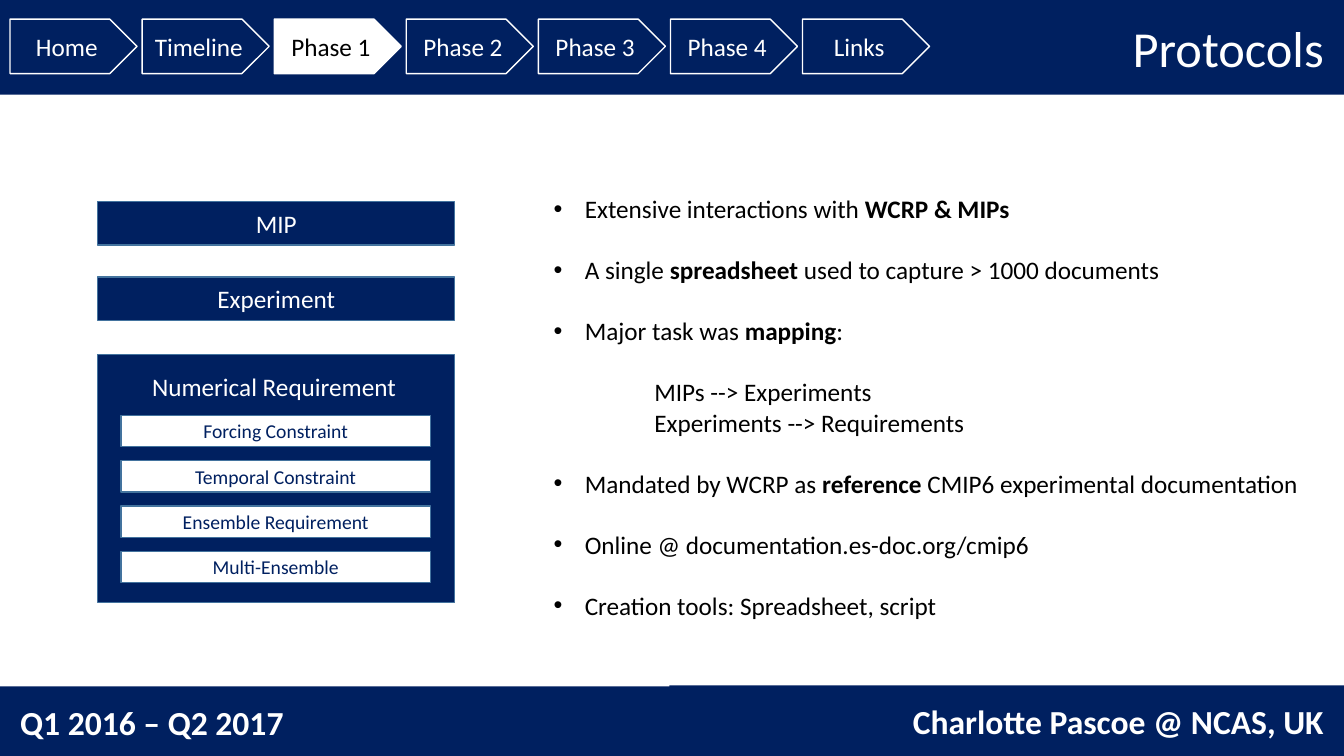
"""Build the Protocols slide with its phase navigation, document model and notes."""
from dataclasses import dataclass

from lxml import etree
from pptx import Presentation
from pptx.dml.color import RGBColor
from pptx.enum.shapes import MSO_SHAPE
from pptx.enum.text import MSO_ANCHOR, MSO_AUTO_SIZE, PP_ALIGN
from pptx.oxml.ns import qn
from pptx.util import Inches, Pt

RECTANGLE, ARROW = MSO_SHAPE.RECTANGLE, MSO_SHAPE.PENTAGON
LEFT, CENTER, RIGHT = PP_ALIGN.LEFT, PP_ALIGN.CENTER, PP_ALIGN.RIGHT
TOP, MIDDLE = MSO_ANCHOR.TOP, MSO_ANCHOR.MIDDLE
NO_FIT = MSO_AUTO_SIZE.NONE


@dataclass(frozen=True)
class Theme:
    font: str = "Calibri"
    navy: RGBColor = RGBColor(0x00, 0x20, 0x60)
    edge: RGBColor = RGBColor(0x43, 0x73, 0x9E)
    white: RGBColor = RGBColor(0xFF, 0xFF, 0xFF)
    black: RGBColor = RGBColor(0x00, 0x00, 0x00)
    title_size: int = 36
    footer_size: int = 24
    text_size: int = 18
    detail_size: int = 14


def assign(target, values):
    for attribute, value in values.items():
        setattr(target, attribute, value)


class SlideBuilder:
    def __init__(self, slide, theme):
        self.slide = slide
        self.theme = theme

    def place(self, shape, box):
        assign(shape, dict(zip(("left", "top", "width", "height"), map(Inches, box))))

    def add_text(self, paragraph, text, size, color, align=LEFT, bold=False):
        paragraph.alignment = align
        for index, piece in enumerate(text.split("**")):
            if piece:
                run = paragraph.add_run()
                run.text = piece
                assign(run.font, {"name": self.theme.font, "size": Pt(size),
                                  "bold": bold or index % 2 == 1})
                run.font.color.rgb = color

    def paint(self, shape, fill, line=None):
        shape.fill.solid()
        shape.fill.fore_color.rgb = fill
        if line is None:
            shape.line.fill.background()
        else:
            shape.line.color.rgb = line
            shape.line.width = Pt(1)

    def title(self, text, box):
        heading = self.slide.shapes.title
        self.place(heading, box)
        self.paint(heading, self.theme.navy)
        assign(heading.text_frame, {"vertical_anchor": MIDDLE, "auto_size": NO_FIT,
                                    "margin_right": Inches(0.2)})
        self.add_text(heading.text_frame.paragraphs[0], text,
                      self.theme.title_size, self.theme.white, RIGHT)

    def block(self, box, fill, line=None, text="", size=None, color=None,
              align=CENTER, bold=False, side_margin=0.1, kind=RECTANGLE):
        shape = self.slide.shapes.add_shape(kind, *map(Inches, box))
        shape.shadow.inherit = False
        self.paint(shape, fill, line)
        assign(shape.text_frame, {"vertical_anchor": MIDDLE, "word_wrap": True,
                                  "margin_left": Inches(side_margin),
                                  "margin_right": Inches(side_margin)})
        self.add_text(shape.text_frame.paragraphs[0], text,
                      size or self.theme.text_size, color or self.theme.white, align, bold)

    def label(self, text, box):
        caption = self.slide.shapes.add_textbox(*map(Inches, box))
        caption.text_frame.word_wrap = False
        self.add_text(caption.text_frame.paragraphs[0], text,
                      self.theme.text_size, self.theme.white)

    def bullets(self, items, box):
        body = self.slide.placeholders[1]
        self.place(body, box)
        frame = body.text_frame
        assign(frame, {"vertical_anchor": TOP, "auto_size": NO_FIT, "word_wrap": True})
        for index, (text, bulleted, gap) in enumerate(items):
            paragraph = frame.paragraphs[0] if index == 0 else frame.add_paragraph()
            assign(paragraph, {"space_before": Pt(gap), "space_after": Pt(0),
                               "line_spacing": 1.0})
            self.add_text(paragraph, text, self.theme.text_size, self.theme.black)
            properties = paragraph._p.get_or_add_pPr()
            properties.set("marL", str(Inches(0.31 if bulleted else 1)))
            properties.set("indent", str(Inches(-0.31 if bulleted else 0)))
            if bulleted:
                etree.SubElement(properties, qn("a:buFont")).set("typeface", "Arial")
                etree.SubElement(properties, qn("a:buChar")).set("char", "•")
            else:
                etree.SubElement(properties, qn("a:buNone"))


def main():
    theme = Theme()
    deck = Presentation()
    deck.slide_width, deck.slide_height = Inches(13.33), Inches(7.5)
    builder = SlideBuilder(deck.slides.add_slide(deck.slide_layouts[1]), theme)

    builder.title("Protocols", (0, 0, 13.33, 0.94))

    phases = ("Home", "Timeline", "Phase 1", "Phase 2", "Phase 3", "Phase 4", "Links")
    for index, phase in enumerate(phases):
        current = phase == "Phase 1"
        builder.block((0.1 + 1.31 * index, 0.19, 1.26, 0.54),
                      theme.white if current else theme.navy, theme.white, phase,
                      color=theme.black if current else theme.white, kind=ARROW)

    for index, document in enumerate(("MIP", "Experiment")):
        builder.block((0.97, 2 + 0.75 * index, 3.54, 0.43),
                      theme.navy, theme.edge, document)

    builder.block((0.97, 3.52, 3.54, 2.46), theme.navy, theme.edge)
    builder.label("Numerical Requirement", (1.41, 3.63, 2.65, 0.4))
    requirements = ("Forcing Constraint", "Temporal Constraint",
                    "Ensemble Requirement", "Multi-Ensemble")
    for index, requirement in enumerate(requirements):
        builder.block((1.2, 4.12 + 0.45 * index, 3.07, 0.31), theme.white, theme.edge,
                      requirement, theme.detail_size, theme.navy)

    builder.bullets((
        ("Extensive interactions with **WCRP & MIPs**", True, 0),
        ("A single **spreadsheet **used to capture > 1000 documents", True, 22),
        ("Major task was **mapping**:", True, 22),
        ("MIPs --> Experiments", False, 22),
        ("Experiments --> Requirements", False, 0),
        ("Mandated by WCRP as **reference **CMIP6 experimental documentation", True, 22),
        ("Online @ documentation.es-doc.org/cmip6", True, 22),
        ("Creation tools: Spreadsheet, script", True, 22),
    ), (5.39, 1.87, 7.65, 4.34))

    footers = (("Charlotte Pascoe @ NCAS, UK", 6.64, 6.8, RIGHT),
               ("Q1 2016 – Q2 2017", 0, 6.81, LEFT))
    for text, left, top, align in footers:
        builder.block((left, top, 6.69, 0.71), theme.navy, text=text,
                      size=theme.footer_size, align=align, bold=True, side_margin=0.2)

    deck.save("out.pptx")


if __name__ == "__main__":
    main()
